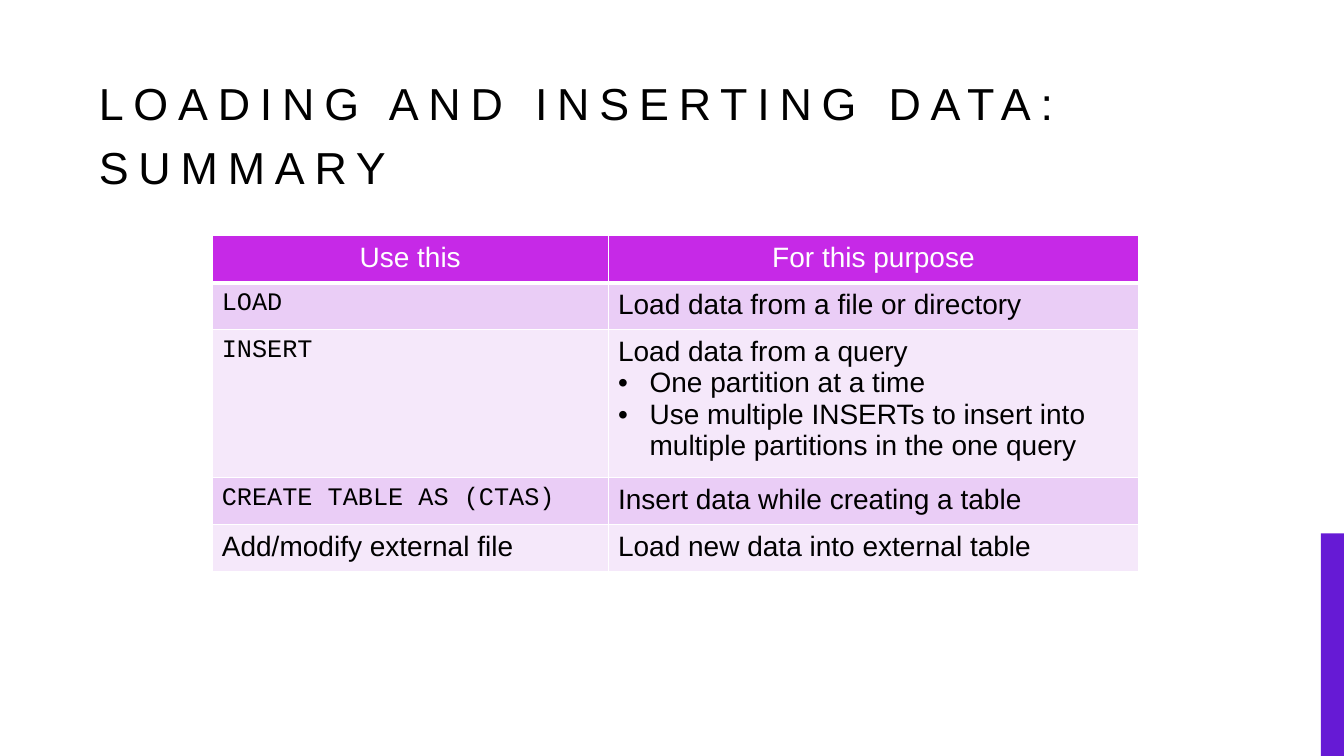
from lxml.etree import SubElement
from pptx import Presentation
from pptx.dml.color import RGBColor
from pptx.enum.shapes import MSO_SHAPE as Shape
from pptx.enum.text import MSO_ANCHOR as Anchor, PP_ALIGN as Align
from pptx.oxml.ns import qn
from pptx.util import Pt

TITLE = "LOADING AND INSERTING DATA: SUMMARY"
HEADINGS = ("Use this", "For this purpose")
BULLET = "•"
# Each row: method, whether the method is code, purpose, bullets under the purpose
METHODS = [
    ("LOAD", True, "Load data from a file or directory", []),
    ("INSERT", True, "Load data from a query", [
        "One partition at a time",
        "Use multiple INSERTs to insert into multiple partitions in the one query",
    ]),
    ("CREATE TABLE AS (CTAS)", True, "Insert data while creating a table", []),
    ("Add/modify external file", False, "Load new data into external table", []),
]

BLACK = RGBColor(0x00, 0x00, 0x00)
WHITE = RGBColor(0xFF, 0xFF, 0xFF)
PURPLE = RGBColor(0x66, 0x1A, 0xD5)
MAGENTA = RGBColor(0xC6, 0x29, 0xE7)
BANDS = (RGBColor(0xEA, 0xCD, 0xF6), RGBColor(0xF5, 0xE8, 0xFA))
SANS, MONO = "Arial", "Courier New"

SLIDE_W, SLIDE_H = 960, 540
ACCENT_W, ACCENT_H = 16.5, 159
TABLE_LEFT, TABLE_TOP = 151.5, 168.5
COLUMN_WIDTHS = (283, 379)
LINE_H, CELL_PAD = 22.3, 4.75
BULLET_INDENT = 22.5


def style(paragraph, size, color, face=SANS):
    paragraph.font.size = Pt(size)
    paragraph.font.name = face
    paragraph.font.bold = False
    paragraph.font.color.rgb = color


def add_bullet(paragraph):
    properties = paragraph._p.get_or_add_pPr()
    properties.set("marL", str(Pt(BULLET_INDENT)))
    properties.set("indent", str(-Pt(BULLET_INDENT)))
    SubElement(properties, qn("a:buFont"), typeface=SANS)
    SubElement(properties, qn("a:buChar"), char=BULLET)


def add_borders(cell, top, bottom):
    """White rules round a cell, 1 pt at the sides; call before filling it."""
    properties = cell._tc.get_or_add_tcPr()
    for side, width in (("L", 1), ("R", 1), ("T", top), ("B", bottom)):
        line = SubElement(properties, qn(f"a:ln{side}"), w=str(Pt(width)))
        fill = SubElement(line, qn("a:solidFill"))
        SubElement(fill, qn("a:srgbClr"), val=str(WHITE))


def fill_cell(cell, lines, row, size=20, face=SANS):
    """Write the first line plain and the rest as bullets."""
    is_heading = row == 0
    add_borders(cell, 3 if row == 1 else 1, 3 if is_heading else 1)
    cell.fill.solid()
    cell.fill.fore_color.rgb = MAGENTA if is_heading else BANDS[(row - 1) % 2]
    cell.margin_left = cell.margin_right = Pt(7)
    cell.margin_top = cell.margin_bottom = Pt(CELL_PAD)
    for index, line in enumerate(lines):
        paragraph = cell.text_frame.paragraphs[0] if index == 0 else cell.text_frame.add_paragraph()
        paragraph.text = line
        if index:
            add_bullet(paragraph)
        if is_heading:
            paragraph.alignment = Align.CENTER
        style(paragraph, size, WHITE if is_heading else BLACK, face)


def add_accent(slide):
    accent = slide.shapes.add_shape(
        Shape.RECTANGLE, Pt(SLIDE_W - ACCENT_W), Pt(SLIDE_H - ACCENT_H), Pt(ACCENT_W), Pt(ACCENT_H))
    accent.shadow.inherit = False
    accent.fill.solid()
    accent.fill.fore_color.rgb = PURPLE
    accent.line.fill.background()


def add_title(slide):
    frame = slide.shapes.add_textbox(Pt(63.5), Pt(29), Pt(816), Pt(113)).text_frame
    frame.word_wrap = True
    frame.vertical_anchor = Anchor.BOTTOM
    heading = frame.paragraphs[0]
    run = heading.add_run()
    run.text = TITLE
    run._r.get_or_add_rPr().set("spc", "700")
    heading.line_spacing = 1.2
    style(heading, 32, BLACK)


def add_methods(slide):
    # The longest bullet takes two lines in its column.
    line_counts = [1] + [1 + len(bullets) + (1 if bullets else 0) for *_, bullets in METHODS]
    heights = [count * LINE_H + 2 * CELL_PAD for count in line_counts]
    table = slide.shapes.add_table(
        len(heights), len(COLUMN_WIDTHS), Pt(TABLE_LEFT), Pt(TABLE_TOP),
        Pt(sum(COLUMN_WIDTHS)), Pt(sum(heights))).table
    for column, width in zip(table.columns, COLUMN_WIDTHS):
        column.width = Pt(width)
    for table_row, height in zip(table.rows, heights):
        table_row.height = Pt(height)
    for column, heading in enumerate(HEADINGS):
        fill_cell(table.cell(0, column), [heading], 0)
    for row, (method, is_code, purpose, bullets) in enumerate(METHODS, start=1):
        size, face = (18, MONO) if is_code else (20, SANS)
        fill_cell(table.cell(row, 0), [method], row, size, face)
        fill_cell(table.cell(row, 1), [purpose, *bullets], row)


def main():
    deck = Presentation()
    deck.slide_width, deck.slide_height = Pt(SLIDE_W), Pt(SLIDE_H)
    slide = deck.slides.add_slide(deck.slide_layouts[6])
    add_accent(slide)
    add_title(slide)
    add_methods(slide)
    deck.save("out.pptx")


if __name__ == "__main__":
    main()
